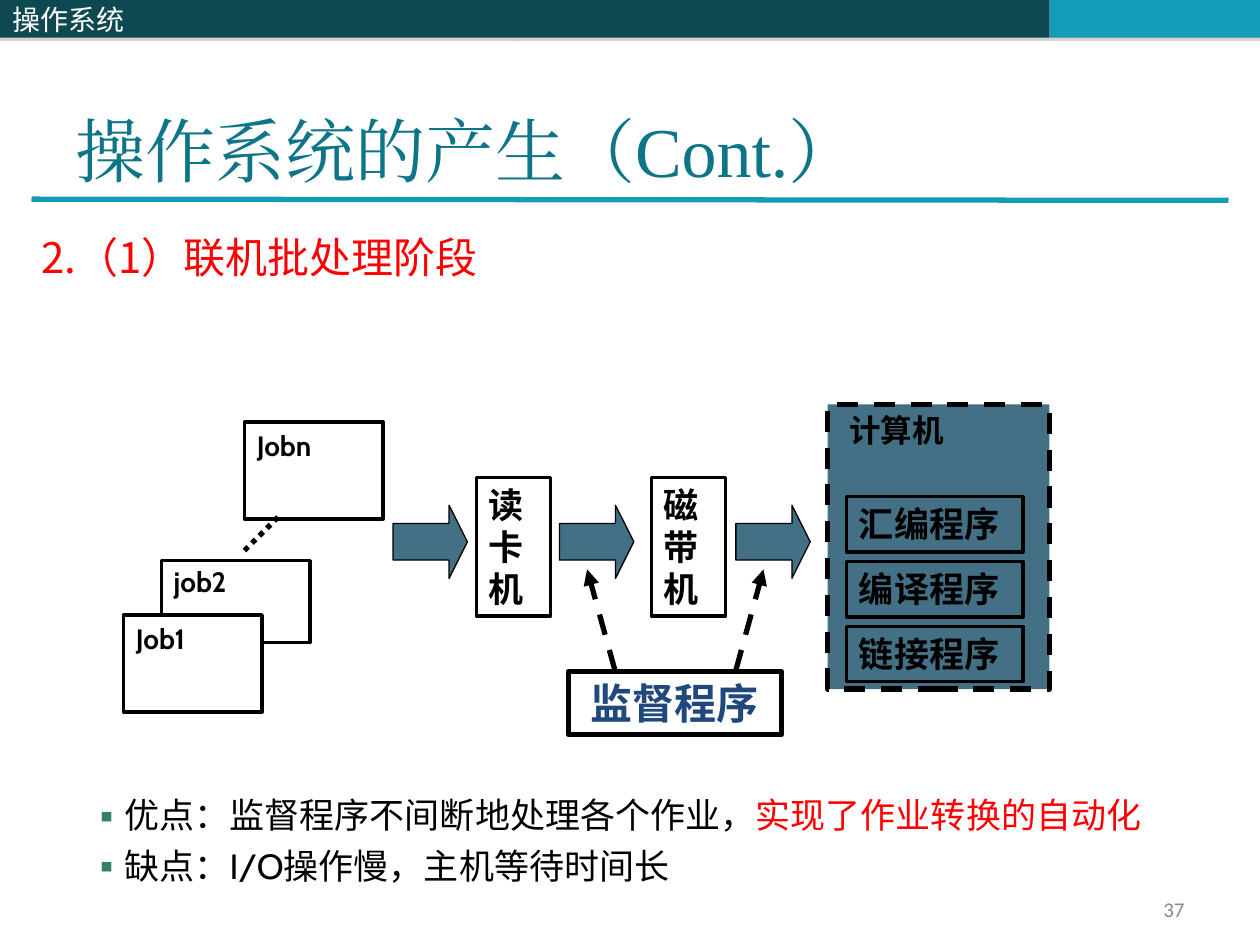
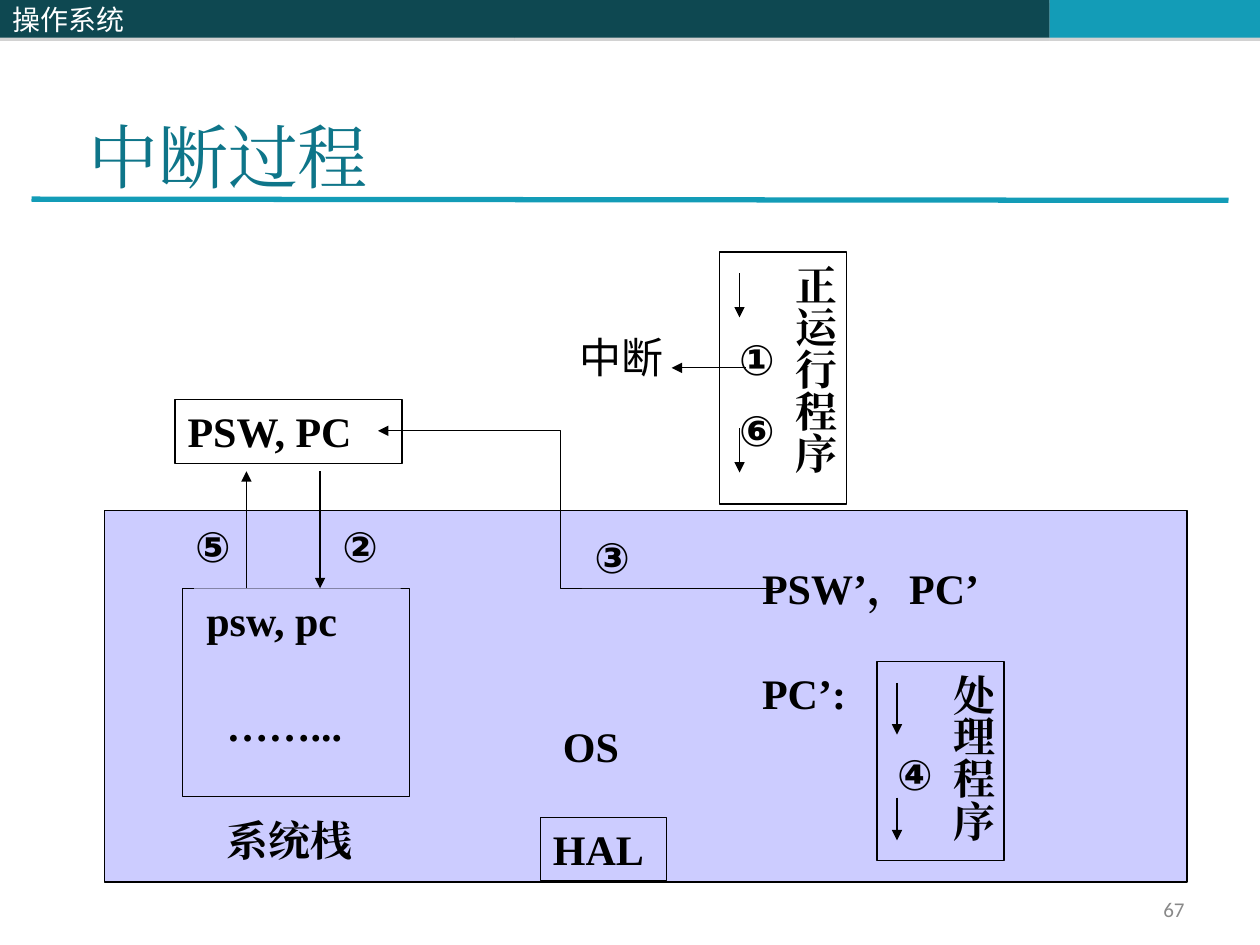
from lxml import etree
from pptx import Presentation
from pptx.dml.color import RGBColor
from pptx.enum.dml import MSO_LINE
from pptx.enum.shapes import MSO_CONNECTOR, MSO_SHAPE
from pptx.enum.text import MSO_ANCHOR, PP_ALIGN
from pptx.oxml.ns import qn
from pptx.util import Pt

RECT, ARROW = MSO_SHAPE.RECTANGLE, MSO_SHAPE.RIGHT_ARROW
STRAIGHT = MSO_CONNECTOR.STRAIGHT
DASH, DOT = MSO_LINE.DASH, MSO_LINE.ROUND_DOT
TOP, MIDDLE, BOTTOM = MSO_ANCHOR.TOP, MSO_ANCHOR.MIDDLE, MSO_ANCHOR.BOTTOM
LEFT, CENTER, RIGHT = PP_ALIGN.LEFT, PP_ALIGN.CENTER, PP_ALIGN.RIGHT

BLACK = RGBColor(0x00, 0x00, 0x00)
WHITE = RGBColor(0xFF, 0xFF, 0xFF)
RED = RGBColor(0xFF, 0x00, 0x00)
NAVY = RGBColor(0x1F, 0x49, 0x7D)
GRAY = RGBColor(0x89, 0x89, 0x89)
DARK_TEAL = RGBColor(0x0E, 0x48, 0x51)
CYAN = RGBColor(0x13, 0x9C, 0xB7)
TITLE_TEAL = RGBColor(0x0E, 0x75, 0x89)
STEEL = RGBColor(0x43, 0x70, 0x85)
LILAC = RGBColor(0xCC, 0xCC, 0xFF)
CABIN, TIMES, CALIBRI, NOTO = "Cabin", "Times New Roman", "Calibri", "Noto Sans CJK SC"

# Shared frame
COURSE = "操作系统"
BANDS = [(0, 293.8, DARK_TEAL, COURSE), (293.8, 306, DARK_TEAL, ""), (599.8, 120.2, CYAN, "")]
BAND_HEIGHT = 21.6
TITLE_RULE = [(18, 113.8), (702, 114.5)]
NUMBER_BOX = (516.2, 509.8, 167.8, 19.4)

# Batch processing slide
BATCH_TITLE = "操作系统的产生（Cont.）"
BATCH_TITLE_BOX = (36, 21.6, 648, 91.4)
BATCH_HEADING = "2.（1）联机批处理阶段"
BATCH_POINTS = [
    [("优点：监督程序不间断地处理各个作业，", BLACK), ("实现了作业转换的自动化", RED)],
    [("缺点：I/O操作慢，主机等待时间长", BLACK)],
]
JOBS = [("Job1", 70.6, 351.4), ("Jobn", 139.7, 241.2)]
JOB2_OUTLINE = [(92.2, 351.4), (92.2, 320.4), (177.1, 320.4), (177.1, 367.2), (150.5, 367.2)]
JOB_DOTS = [(139.7, 314.6), (160.6, 293.8)]
DEVICES = [("读卡机", 272.2), ("磁带机", 372.2)]
FLOW_ARROWS = [224.6, 319.7, 420.5]
PROGRAMS = ["汇编程序", "编译程序", "链接程序"]
PROGRAM_TOP, PROGRAM_STEP = 283.7, 37.1
MONITOR_LINES = [[(420.5, 383), (436.3, 325.4)], [(351.4, 383), (335.5, 325.4)]]

# Interrupt slide: text, box, font, fill, outlined
INTERRUPT_TITLE = "中断过程"
INTERRUPT_TITLE_BOX = (43.2, 59.8, 640.8, 56.8)
BOXES = [
    ("", (59.8, 291.6, 618.5, 212.4), TIMES, LILAC, True),
    ("PSW’，PC’", (428.4, 318.2, 150.5, 36), TIMES, LILAC, False),
    ("PC’:", (428.4, 378, 65.5, 36), TIMES, LILAC, False),
    ("PSW, PC", (100.1, 228.2, 129.6, 36.7), TIMES, WHITE, True),
    ("", (104.4, 336.2, 129.6, 118.8), TIMES, LILAC, True),
    ("系统桟", (122.4, 462.2, 97.9, 36), TIMES, LILAC, False),
    ("psw, pc", (110.9, 336.2, 118.1, 36), TIMES, LILAC, False),
    ("……...", (122.4, 396, 91.4, 36), TIMES, LILAC, False),
    ("②", (188.6, 293.8, 34.6, 36), CABIN, LILAC, False),
    ("⑤", (104.4, 293.8, 32.4, 36), CABIN, LILAC, False),
]
LOAD_PATH = [(445, 336.2), (320.4, 336.2), (320.4, 246.2), (216, 246.2)]
BOXES_OVER_PATH = [
    ("③", (332.6, 300.2, 38.9, 36), CABIN, LILAC, False),
    ("HAL", (308.9, 467.3, 72, 36), TIMES, LILAC, True),
    ("OS", (314.6, 408.2, 65.5, 36), TIMES, LILAC, False),
]
VERTICAL_PROGRAMS = [
    ("正运行程序", (411.1, 144, 72.7, 144), WHITE),
    ("处理程序", (501.1, 378, 72.7, 113.8), LILAC),
]
PROGRAM_STEPS = [("①", 415.3, 186.9), ("⑥", 415.3, 227.5), ("④", 505.6, 424.1)]
STEP_ARROWS = [
    [(422.6, 156.2), (422.6, 181.4)],
    [(422.6, 244.8), (422.6, 270)],
    [(512.6, 390.2), (512.6, 419.8)],
    [(512.6, 455.8), (512.6, 480.2)],
    [(182.9, 269.3), (182.9, 336.2)],
    [(140.8, 336.2), (140.8, 269.3)],
    [(426.2, 210.2), (383.8, 210.2)],
]


def add_child(parent, tag, **attrs):
    return etree.SubElement(parent, qn(tag), attrs)


def add_run(p, text, size, color, font, bold=False):
    r = p.add_run()
    r.text = text
    r.font.size, r.font.bold, r.font.name = Pt(size), bold, font
    r.font.color.rgb = color
    add_child(r._r.get_or_add_rPr(), "a:ea", typeface=font)


def set_frame(tf, anchor=TOP, insets=(7.2, 3.6, 7.2, 3.6)):
    tf.word_wrap = True
    tf.vertical_anchor = anchor
    tf.margin_left, tf.margin_top, tf.margin_right, tf.margin_bottom = map(Pt, insets)


def write(s, text, size, color=BLACK, font=CABIN, bold=True, align=LEFT, anchor=TOP):
    set_frame(s.text_frame, anchor)
    p = s.text_frame.paragraphs[0]
    p.alignment = align
    add_run(p, text, size, color, font, bold)


def add_label(slide, box, text, size, **style):
    write(slide.shapes.add_textbox(*map(Pt, box)), text, size, **style)


def style_line(s, width, color=BLACK, dash=None, arrow=False):
    s.line.color.rgb = color
    s.line.width = Pt(width)
    if dash:
        s.line.dash_style = dash
    if arrow:
        add_child(s.line._get_or_add_ln(), "a:tailEnd", type="triangle")


def add_box(slide, box, fill=None, line=None, dash=None, kind=RECT):
    """Add a flat shape; without fill or line width that part is empty."""
    s = slide.shapes.add_shape(kind, *map(Pt, box))
    s.shadow.inherit = False
    if fill is None:
        s.fill.background()
    else:
        s.fill.solid()
        s.fill.fore_color.rgb = fill
    if line is None:
        s.line.fill.background()
    else:
        style_line(s, line, dash=dash)
    return s


def add_line(slide, ends, width, **style):
    (x1, y1), (x2, y2) = ends
    s = slide.shapes.add_connector(STRAIGHT, Pt(x1), Pt(y1), Pt(x2), Pt(y2))
    style_line(s, width, **style)
    add_child(s._element.spPr, "a:effectLst")


def add_polyline(slide, points, width, arrow=False):
    start, *rest = [(Pt(x), Pt(y)) for x, y in points]
    builder = slide.shapes.build_freeform(*start)
    builder.add_line_segments(rest, close=False)
    s = builder.convert_to_shape()
    s.shadow.inherit = False
    s.fill.background()
    style_line(s, width, arrow=arrow)


def add_band_shadow(s):
    effects = s._element.spPr.find(qn("a:effectLst"))
    shadow = add_child(effects, "a:outerShdw", dist=str(Pt(1.8)), dir="5400000", rotWithShape="0")
    color = add_child(shadow, "a:srgbClr", val="808080")
    add_child(color, "a:alpha", val="35000")


def start_slide(prs, layout, title, title_box, number):
    """Add a slide with the shared bands, title rule, title and page number."""
    slide = prs.slides.add_slide(prs.slide_layouts[layout])
    for left, width, color, text in BANDS:
        s = add_box(slide, (left, 0, width, BAND_HEIGHT), color)
        add_band_shadow(s)
        if text:
            write(s, text, 16, WHITE, NOTO, bold=False, anchor=MIDDLE)
    add_line(slide, TITLE_RULE, 3, color=CYAN)
    place(slide.shapes.title, title_box)
    write(slide.shapes.title, title, 40, TITLE_TEAL, TIMES, bold=False, anchor=BOTTOM)
    add_label(slide, NUMBER_BOX, str(number), 12, color=GRAY, font=CALIBRI, bold=False,
              align=RIGHT, anchor=MIDDLE)
    return slide


def place(s, box):
    s.left, s.top, s.width, s.height = map(Pt, box)


def add_points(body):
    place(body, (43.9, 450, 640, 62))
    tf = body.text_frame
    set_frame(tf, insets=(7.2, 3.6, 7.2, 0))
    for i, runs in enumerate(BATCH_POINTS):
        p = tf.add_paragraph() if i else tf.paragraphs[0]
        pPr = p._p.get_or_add_pPr()
        pPr.set("marL", str(Pt(16.5)))
        pPr.set("indent", str(-Pt(16.5)))
        add_child(add_child(pPr, "a:buClr"), "a:srgbClr", val="357E69")
        add_child(pPr, "a:buFont", typeface=NOTO)
        add_child(pPr, "a:buChar", char="▪")
        p.space_before = Pt(5 if i else 0)
        for text, color in runs:
            add_run(p, text, 20, color, CABIN)


def build_batch_slide(prs):
    slide = start_slide(prs, 1, BATCH_TITLE, BATCH_TITLE_BOX, 37)
    add_label(slide, (16.6, 129, 361.4, 36), BATCH_HEADING, 24, color=RED, font=NOTO, bold=False)
    add_points(slide.placeholders[1])

    for name, left, top in JOBS:
        write(add_box(slide, (left, top, 79.2, 55.4), line=2), name, 16)
    add_polyline(slide, JOB2_OUTLINE, 2)
    add_label(slide, (92.2, 319, 52.6, 26.6), "job2", 16)
    add_line(slide, JOB_DOTS, 3, dash=DOT)

    for left in FLOW_ARROWS:
        s = add_box(slide, (left, 288.7, 42.5, 41.8), STEEL, 0.75, kind=ARROW)
        s.adjustments[1] = 0.25
    for name, left in DEVICES:
        write(add_box(slide, (left, 272.9, 42.5, 79.2), line=2), name, 20)

    add_box(slide, (473, 231.1, 126.7, 162.7), STEEL, 3, DASH)
    add_label(slide, (478.1, 231.1, 74.2, 28.8), "计算机", 18)
    for i, name in enumerate(PROGRAMS):
        top = PROGRAM_TOP + i * PROGRAM_STEP
        write(add_box(slide, (483.8, top, 100.8, 31.7), line=2), name, 20)

    monitor = add_box(slide, (324.7, 383.8, 121.7, 36), line=3)
    write(monitor, "监督程序", 24, NAVY, align=CENTER)
    for ends in MONITOR_LINES:
        add_line(slide, ends, 3, dash=DASH, arrow=True)


def add_text_boxes(slide, boxes):
    for text, box, font, fill, outlined in boxes:
        s = add_box(slide, box, fill, 0.75 if outlined else None)
        if text:
            write(s, text, 24, font=font)


def build_interrupt_slide(prs):
    slide = start_slide(prs, 5, INTERRUPT_TITLE, INTERRUPT_TITLE_BOX, 67)
    add_text_boxes(slide, BOXES)
    add_polyline(slide, LOAD_PATH, 0.75, arrow=True)
    add_text_boxes(slide, BOXES_OVER_PATH)
    for name, box, fill in VERTICAL_PROGRAMS:
        s = add_box(slide, box, fill, 0.75)
        write(s, name, 24, font=TIMES)
        set_frame(s.text_frame, insets=(3.6, 7.2, 3.6, 7.2))
        s.text_frame._txBody.bodyPr.set("vert", "eaVert")
    for number, left, top in PROGRAM_STEPS:
        add_label(slide, (left, top, 34.6, 36), number, 24)
    for ends in STEP_ARROWS:
        add_line(slide, ends, 0.75, arrow=True)
    add_label(slide, (324, 185.8, 66.2, 36), "中断", 24, bold=False)


def main():
    prs = Presentation()
    prs.slide_width, prs.slide_height = Pt(720), Pt(540)
    build_batch_slide(prs)
    build_interrupt_slide(prs)
    prs.save("out.pptx")


if __name__ == "__main__":
    main()
